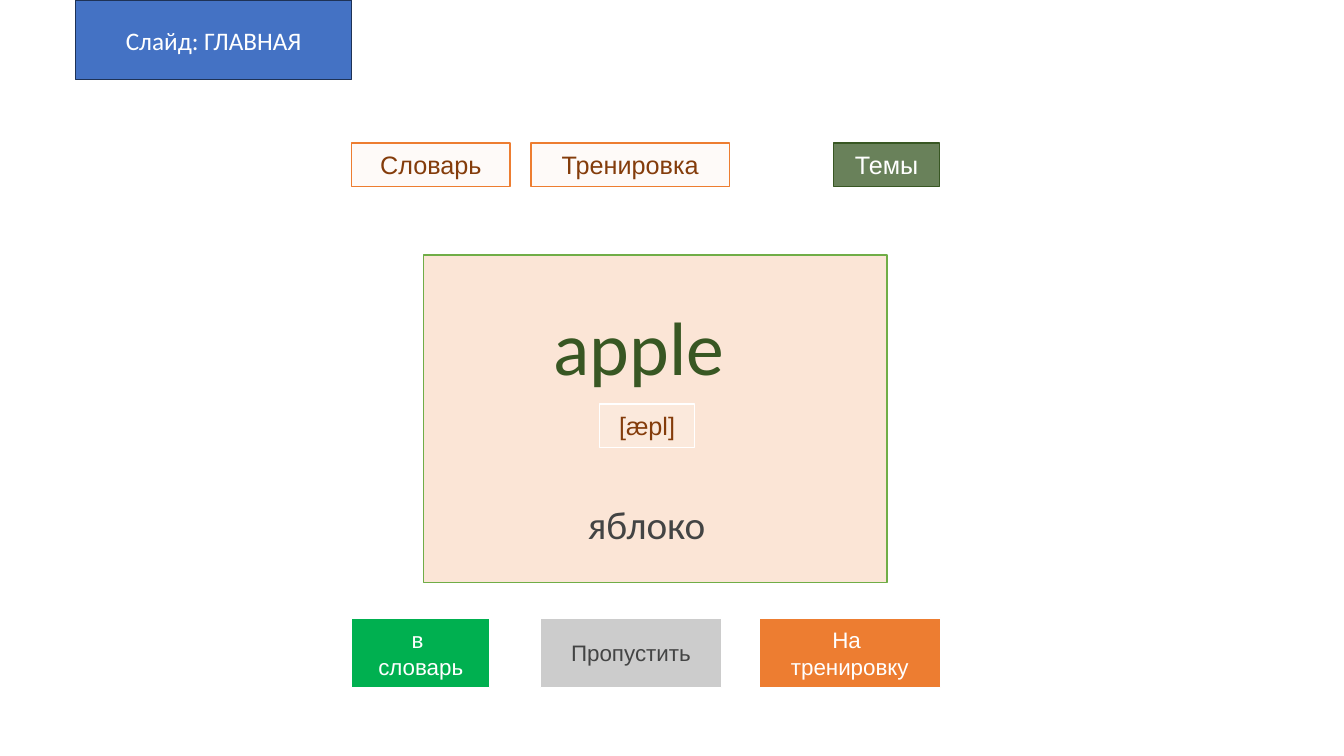
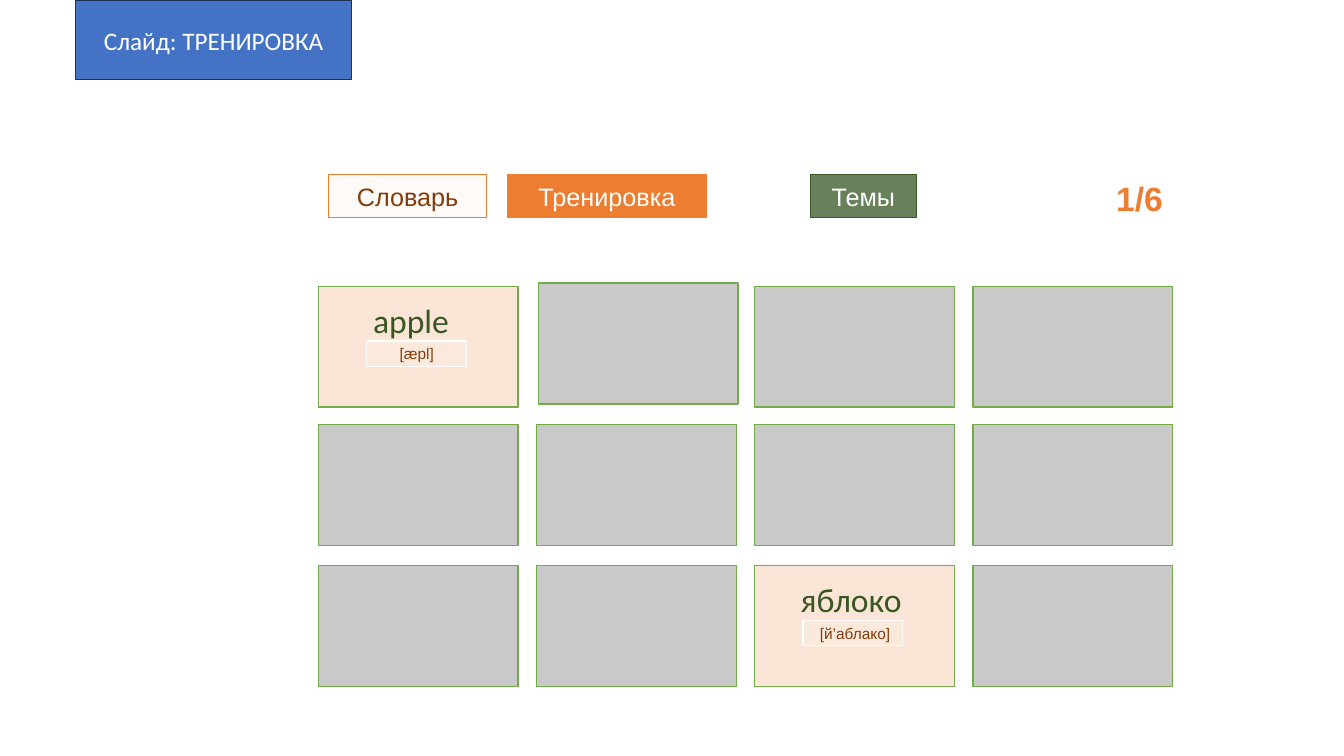
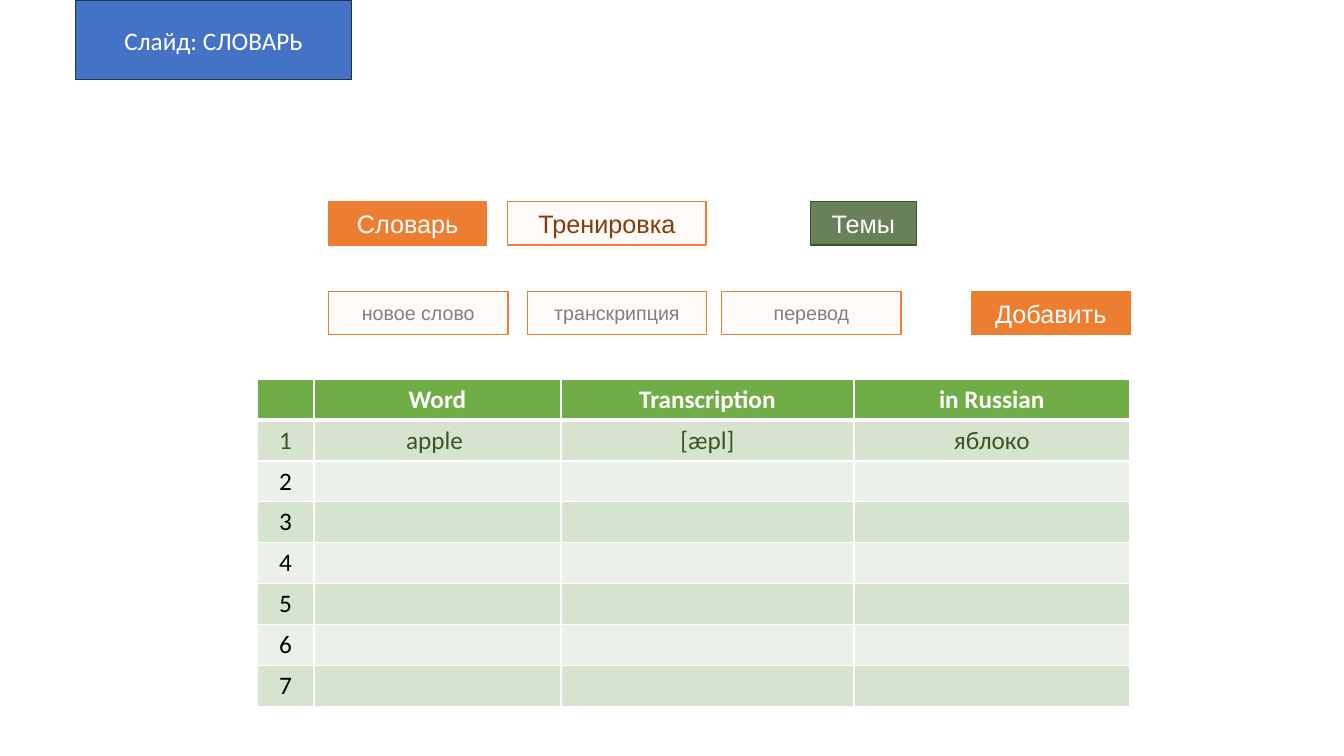
from lxml import etree
from pptx import Presentation
from pptx.dml.color import RGBColor
from pptx.enum import shapes, text
from pptx.oxml.ns import qn
from pptx.util import Pt

HUES = {
    "white": "FFFFFF", "black": "000000", "blue": "4472C4", "navy": "1E3256",
    "peach": "FBE5D6", "orange": "ED7D31", "brown": "843C0B",
    "leaf": "70AD47", "moss": "385723", "green": "00B050",
    "gray": "808080", "slate": "434444", "silver": "C9C9C9",
    "dark": "D5E3CF", "pale": "EBF1E9",
}


class Deck:
    def __init__(self):
        self.file = Presentation()
        self.file.slide_width = Pt(960)
        self.file.slide_height = Pt(540)

    def page(self, name):
        self.slide = self.file.slides.add_slide(self.file.slide_layouts[6])
        self.pool = self.slide.shapes
        self.box(54, 0, 197.3, 57, "blue", "navy", words="Слайд: " + name, face="Calibri")

    def hue(self, name):
        return RGBColor.from_string(HUES[name])

    def style(self, frame, words, size, ink, face, bold=False):
        frame.text = words
        for para in frame.paragraphs:
            para.alignment = text.PP_ALIGN.CENTER
            para.font.size = Pt(size)
            para.font.name = face
            para.font.bold = bold
            para.font.color.rgb = self.hue(ink)

    def box(self, x, y, w, h, fill, line=None, alpha=100, words="", size=18,
            ink="white", face="Arial", bold=False):
        rect = self.pool.add_shape(shapes.MSO_SHAPE.RECTANGLE, Pt(x), Pt(y), Pt(w), Pt(h))
        rect.shadow.inherit = False
        rect.fill.solid()
        rect.fill.fore_color.rgb = self.hue(fill)
        if alpha < 100:
            tone = rect.element.spPr.find(qn("a:solidFill"))[0]
            etree.SubElement(tone, qn("a:alpha"), val=str(alpha * 1000))
        if line:
            rect.line.color.rgb = self.hue(line)
            rect.line.width = Pt(1)
        else:
            rect.line.fill.background()
        if words:
            self.style(rect.text_frame, words, size, ink, face, bold)

    def label(self, x, y, w, h, words, size, ink="moss"):
        frame = self.pool.add_textbox(Pt(x), Pt(y), Pt(w), Pt(h)).text_frame
        frame.word_wrap = True
        frame.vertical_anchor = text.MSO_ANCHOR.MIDDLE
        self.style(frame, words, size, ink, "Calibri")

    def sound(self, x, y, w, h, words, size):
        self.box(x, y, w, h, "white", "white", 17, words, size, "brown")

    def tab(self, x, y, w, words, live=False, size=18, ink="brown"):
        if live:
            self.box(x, y, w, 31, "orange", "orange", words=words)
        else:
            self.box(x, y, w, 31, "peach", "orange", 17, words, size, ink)

    def menu(self, x, y, live=None):
        for step, w, words in ((0, 113, "Словарь"), (128, 141.8, "Тренировка")):
            self.tab(x + step, y, w, words, words == live)
        self.box(x + 344.2, y, 75.6, 31, "moss", "moss", 75, "Темы")

    def card(self, x, y, pair=None):
        size = 142.6, 86.4
        if not pair:
            self.box(x, y, *size, "silver", "leaf")
            return
        word, sound = pair
        self.pool = self.slide.shapes.add_group_shape().shapes
        self.box(x, y, *size, "peach", "leaf")
        self.label(x + 24.5, y + 12, 88.6, 24.5, word, 24)
        self.sound(x + 34.5, y + 39.2, 71.3, 18, sound, 11)
        self.pool = self.slide.shapes

    def edge(self, cell, side, width):
        line = etree.SubElement(cell._tc.get_or_add_tcPr(), qn("a:ln" + side), w=str(Pt(width)))
        fill = etree.SubElement(line, qn("a:solidFill"))
        etree.SubElement(fill, qn("a:srgbClr"), val=HUES["white"])

    def table(self, x, y, widths, high, rows):
        grid = self.pool.add_table(len(rows), len(widths), Pt(x), Pt(y),
                                   Pt(sum(widths)), Pt(high * len(rows))).table
        for col, width in zip(grid.columns, widths):
            col.width = Pt(width)
        for r, row in enumerate(rows):
            grid.rows[r].height = Pt(high)
            fill = "leaf" if r == 0 else "dark" if r % 2 else "pale"
            ink = ("white", "moss")[r] if r < 2 else "black"
            for c, words in enumerate(row):
                cell = grid.cell(r, c)
                for side in "LRTB":
                    thick = (r, side) in ((0, "B"), (1, "T"))
                    self.edge(cell, side, 3 if thick else 1)
                cell.fill.solid()
                cell.fill.fore_color.rgb = self.hue(fill)
                self.style(cell.text_frame, words, 18, ink, "Calibri", r == 0)


def home(deck):
    deck.page("ГЛАВНАЯ")
    deck.menu(251.3, 102.3)
    deck.box(302.4, 182.2, 331.2, 234, "peach", "leaf")
    deck.sound(428.4, 288.7, 67.7, 31, "[æpl]", 18)
    deck.label(359.3, 213.8, 206.6, 66.2, "apple ", 54)
    deck.label(381.6, 349.9, 160.6, 48.2, "яблоко", 28, "slate")
    for x, w, fill, alpha, words, ink in (
        (251.3, 98.6, "green", 100, "в \nсловарь", "white"),
        (385.9, 129.6, "gray", 40, "Пропустить", "slate"),
        (542.2, 129.6, "orange", 100, "На \nтренировку", "white"),
    ):
        deck.box(x, 441.4, w, 49.7, fill, "white", alpha, words, 16, ink)


def train(deck):
    deck.page("ТРЕНИРОВКА")
    deck.menu(234.7, 124.6, "Тренировка")
    deck.box(776.2, 126, 75.6, 31, "white", alpha=75, words="1/6", size=24, ink="orange", bold=True)
    pairs = {(0, 0): ("apple ", "[æpl]"), (2, 2): ("яблоко", " [й’аблако]")}
    shifts = {(0, 1): (1.4, -2.2)}
    for r, y in enumerate((204.5, 303.1, 403.9)):
        for c in range(4):
            dx, dy = shifts.get((r, c), (0, 0))
            deck.card(227.5 + 155.8 * c + dx, y + dy, pairs.get((r, c)))


def words(deck):
    deck.page("СЛОВАРЬ")
    deck.menu(234.7, 144, "Словарь")
    for x, hint in ((234.7, "новое слово"), (376.6, "транскрипция"), (515.5, "перевод")):
        deck.tab(x, 208.1, 128.2, hint, size=14, ink="gray")
    deck.tab(694.1, 208.1, 113, "Добавить", True)
    rows = [("", "Word", "Transcription", "in Russian"), ("1", "apple ", "[æpl]", "яблоко")]
    rows += [(str(n), "", "", "") for n in range(2, 8)]
    deck.table(183.6, 270.9, (40.7, 176.4, 209.3, 196.9), 29.2, rows)


def main():
    deck = Deck()
    home(deck)
    train(deck)
    words(deck)
    deck.file.save("out.pptx")


if __name__ == "__main__":
    main()
